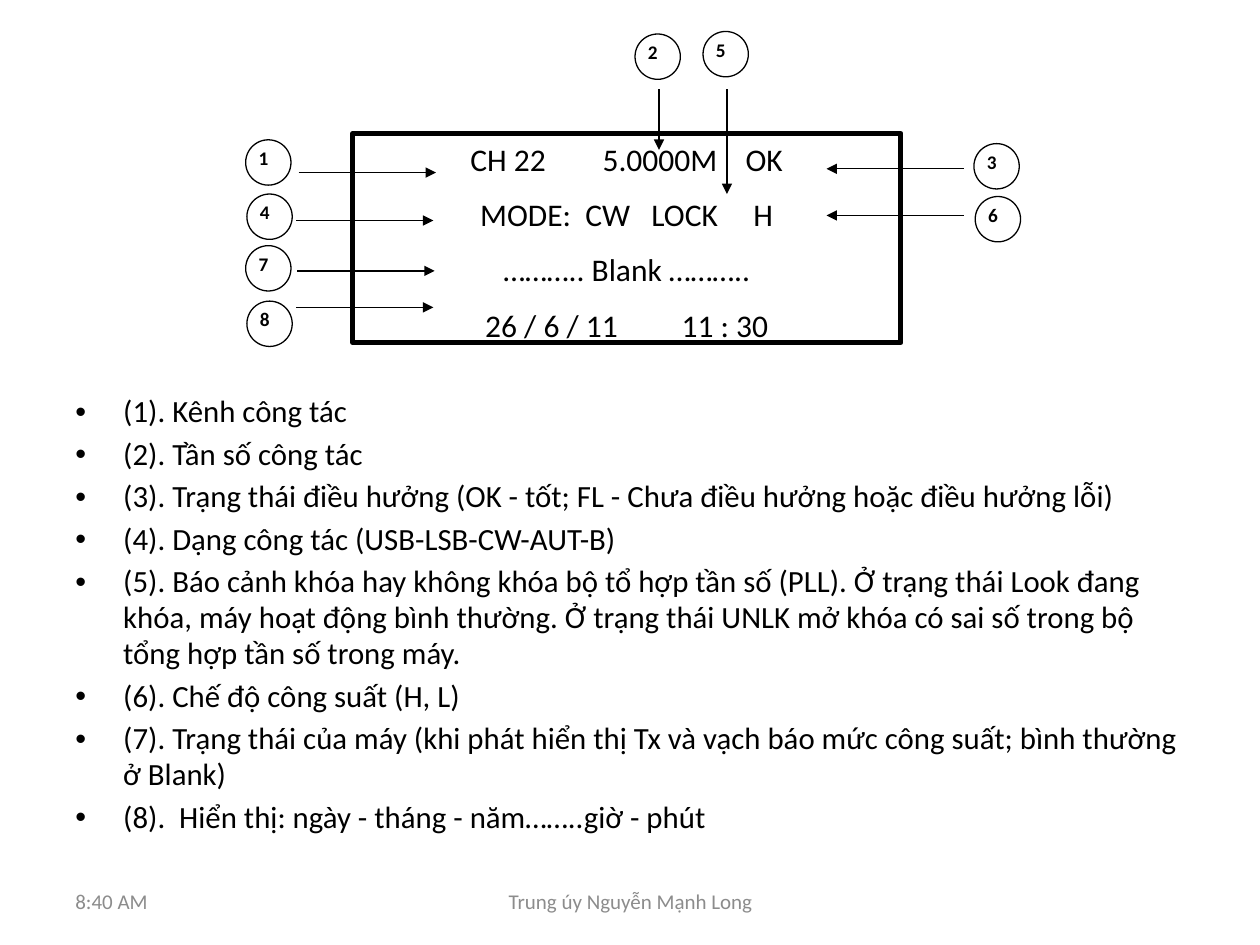
from dataclasses import dataclass

from lxml import etree
from pptx import Presentation
from pptx.dml.color import RGBColor
from pptx.enum.shapes import MSO_CONNECTOR, MSO_SHAPE
from pptx.enum.text import MSO_ANCHOR, PP_ALIGN
from pptx.oxml.ns import qn
from pptx.util import Inches, Pt

RECT, OVAL = MSO_SHAPE.RECTANGLE, MSO_SHAPE.OVAL
STRAIGHT = MSO_CONNECTOR.STRAIGHT
TOP, MIDDLE = MSO_ANCHOR.TOP, MSO_ANCHOR.MIDDLE
LEFT, CENTER = PP_ALIGN.LEFT, PP_ALIGN.CENTER


@dataclass(frozen=True)
class Theme:
    font: str = "Calibri"
    ink: RGBColor = RGBColor(0, 0, 0)
    paper: RGBColor = RGBColor(255, 255, 255)
    muted: RGBColor = RGBColor(0x8C, 0x8C, 0x8C)
    screen_size: float = 18
    body_size: float = 17.6
    footer_size: float = 12
    label_size: float = 11
    frame: float = 3
    hairline: float = 0.75


THEME = Theme()

SCREEN_LINES = [
    "CH 22        5.0000M    OK",
    "MODE:  CW   LOCK     H",
    "……….. Blank ………..",
    "26 / 6 / 11         11 : 30",
]

CALLOUTS = [
    ("1", (0, 0.86), (0.42, 1.12), (1.51, 1.12)),
    ("4", (0.01, 1.29), (0.4, 1.5), (1.49, 1.5)),
    ("7", (0, 1.7), (0.41, 1.9), (1.5, 1.9)),
    ("8", (0.01, 2.14), (0.4, 2.19), (1.49, 2.19)),
    ("2", (3.09, 0.02), (3.28, 0.46), (3.28, 0.94)),
    ("5", (3.63, 0), (3.82, 0.46), (3.82, 1.29)),
    ("3", (5.78, 0.89), (5.7, 1.09), (4.61, 1.09)),
    ("6", (5.79, 1.31), (5.7, 1.46), (4.61, 1.46)),
]

LEGEND = [
    "(1). Kênh công tác",
    "(2). Tần số công tác",
    "(3). Trạng thái điều hưởng (OK - tốt; FL - Chưa điều hưởng hoặc điều hưởng lỗi)",
    "(4). Dạng công tác (USB-LSB-CW-AUT-B)",
    "(5). Báo cảnh khóa hay không khóa bộ tổ hợp tần số (PLL). Ở trạng thái Look đang "
    "khóa, máy hoạt động bình thường. Ở trạng thái UNLK mở khóa có sai số trong bộ "
    "tổng hợp tần số trong máy.",
    "(6). Chế độ công suất (H, L)",
    "(7). Trạng thái của máy (khi phát hiển thị Tx và vạch báo mức công suất; "
    "bình thường ở Blank)",
    "(8).  Hiển thị: ngày - tháng - năm……..giờ - phút",
]


def add_lines(tf, lines, size, color=THEME.ink, align=LEFT, bold=False):
    tf.word_wrap = True
    for i, line in enumerate(lines):
        p = tf.add_paragraph() if i else tf.paragraphs[0]
        p.alignment = align
        r = p.add_run()
        r.text = line
        r.font.name = THEME.font
        r.font.size = Pt(size)
        r.font.bold = bold
        r.font.color.rgb = color
    return tf.paragraphs


def add_outlined(s, preset, box, weight):
    sp = s.shapes.add_shape(preset, *map(Inches, box))
    sp.shadow.inherit = False
    sp.fill.solid()
    sp.fill.fore_color.rgb = THEME.paper
    sp.line.color.rgb = THEME.ink
    sp.line.width = Pt(weight)
    sp.text_frame.vertical_anchor = TOP
    return sp


def add_arrow(s, start, end):
    line = s.shapes.add_connector(STRAIGHT, *map(Inches, start + end))
    line.line.color.rgb = THEME.ink
    line.line.width = Pt(THEME.hairline)
    ln = line.line._get_or_add_ln()
    etree.SubElement(ln, qn("a:tailEnd"), type="triangle")
    etree.SubElement(line._element.spPr, qn("a:effectLst"))


def add_number(s, label, x, y):
    sp = add_outlined(s, OVAL, (x, y, 0.36, 0.36), THEME.hairline)
    tf = sp.text_frame
    tf.margin_left = Inches(0.05)
    tf.margin_top = tf.margin_right = tf.margin_bottom = 0
    add_lines(tf, [label], THEME.label_size, bold=True)


def add_display(s, box):
    left, top, _, _ = box

    def place(point):
        return left + point[0], top + point[1]

    screen = add_outlined(s, RECT, (*place((0.85, 0.81)), 4.35, 1.66), THEME.frame)
    paragraphs = add_lines(screen.text_frame, SCREEN_LINES, THEME.screen_size, align=CENTER)
    paragraphs[0].space_before = Pt(6)
    for p in paragraphs:
        p.space_after = Pt(10)
    for label, circle, start, end in CALLOUTS:
        add_arrow(s, place(start), place(end))
        add_number(s, label, *place(circle))


def add_legend(s, box):
    tf = s.shapes.add_textbox(*map(Inches, box)).text_frame
    for p in add_lines(tf, LEGEND, THEME.body_size):
        p.space_before = Pt(3.8)
        p.line_spacing = 0.97
        pPr = p._p.get_or_add_pPr()
        pPr.set("marL", str(Inches(0.38)))
        pPr.set("indent", str(Inches(-0.38)))
        etree.SubElement(pPr, qn("a:buFont"), typeface="Arial")
        etree.SubElement(pPr, qn("a:buChar"), char="•")


def add_footer(s, box):
    left, top, _, height = box
    for text, dx, width, align in [
        ("8:40 AM", 0, 2.33, LEFT),
        ("Trung úy Nguyễn Mạnh Long", 2.92, 3.17, CENTER),
    ]:
        sp = s.shapes.add_textbox(*map(Inches, (left + dx, top, width, height)))
        sp.text_frame.vertical_anchor = MIDDLE
        add_lines(sp.text_frame, [text], THEME.footer_size, THEME.muted, align)


def main():
    prs = Presentation()
    prs.slide_width, prs.slide_height = Inches(10), Inches(7.5)
    s = prs.slides.add_slide(prs.slide_layouts[6])
    add_legend(s, (0.5, 3.08, 9, 3.62))
    add_display(s, (1.95, 0.25, 6.15, 2.5))
    add_footer(s, (0.5, 6.95, 9, 0.4))
    prs.save("out.pptx")


if __name__ == "__main__":
    main()
